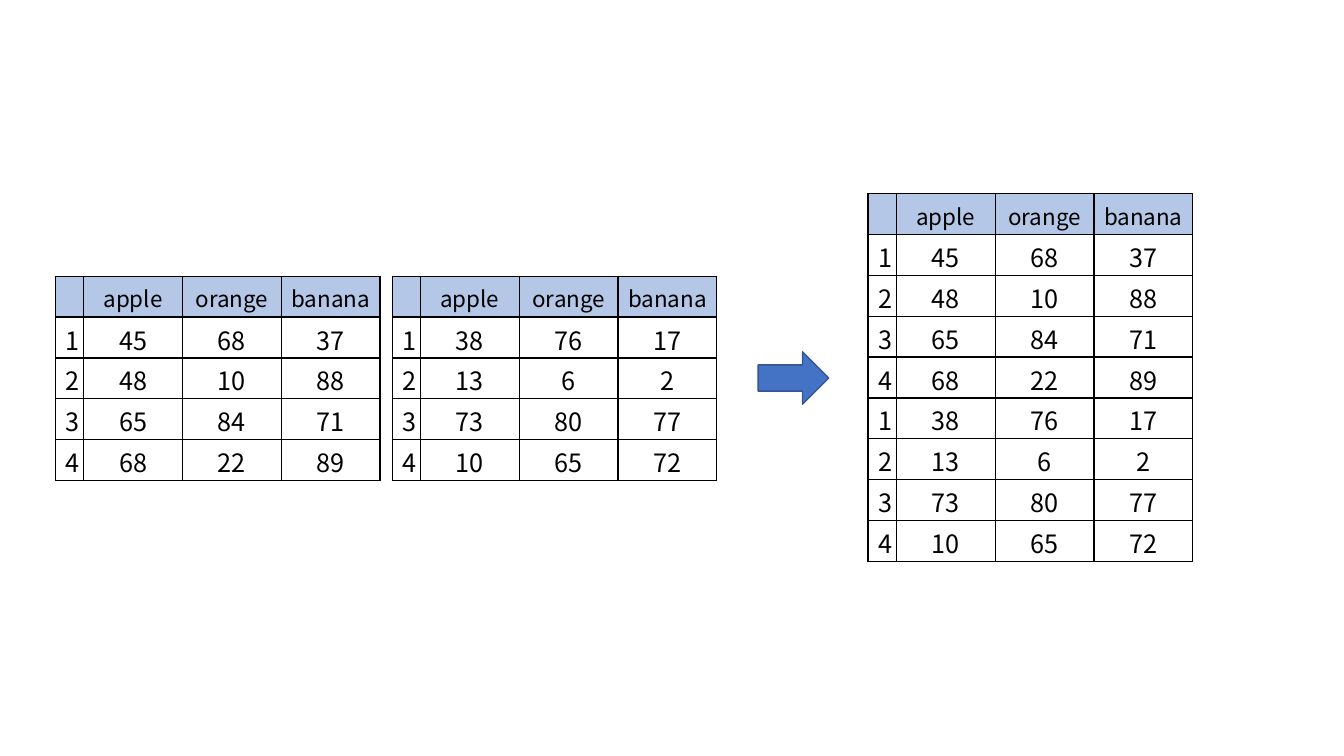
"""Build a slide that shows two fruit tables stacked into one."""
from lxml.etree import SubElement
from pptx import Presentation
from pptx.dml.color import RGBColor
from pptx.enum.shapes import MSO_SHAPE as Shape
from pptx.enum.text import MSO_ANCHOR as Anchor, PP_ALIGN as Align
from pptx.oxml.ns import qn
from pptx.util import Inches, Pt

FONT = "Noto Sans CJK JP"
BLACK, WHITE, HEADER_BLUE = "000000", "FFFFFF", "B4C7E7"
ARROW_FILL, ARROW_LINE = "4472C4", "325491"

HEADER = ("", "apple", "orange", "banana")
FIRST = [(1, 45, 68, 37), (2, 48, 10, 88), (3, 65, 84, 71), (4, 68, 22, 89)]
SECOND = [(1, 38, 76, 17), (2, 13, 6, 2), (3, 73, 80, 77), (4, 10, 65, 72)]
TABLES = [
    (0.55, 2.74, FIRST),
    (3.89, 2.74, SECOND),
    (8.61, 1.92, FIRST + SECOND),
]
COLUMN_WIDTHS = [Inches(0.28)] + [Inches(0.98)] * 3
ROW_HEIGHT = Inches(3.65) // 9


def rgb(value):
    return RGBColor.from_string(value)


def add_borders(cell):
    properties = cell._tc.get_or_add_tcPr()
    for side in ("lnL", "lnR", "lnT", "lnB"):
        border = SubElement(properties, qn(f"a:{side}"), w=str(Pt(1)))
        fill = SubElement(border, qn("a:solidFill"))
        SubElement(fill, qn("a:srgbClr"), val=BLACK)


def style_cell(cell, value, is_header, is_index):
    cell.text = str(value)
    cell.vertical_anchor = Anchor.MIDDLE
    cell.margin_left = Inches(0.06 if is_index else 0)
    cell.margin_right = cell.margin_bottom = 0
    cell.margin_top = Inches(0.03)
    add_borders(cell)
    cell.fill.solid()
    cell.fill.fore_color.rgb = rgb(HEADER_BLUE if is_header else WHITE)
    paragraph = cell.text_frame.paragraphs[0]
    paragraph.alignment = Align.CENTER
    paragraph.font.name = FONT
    paragraph.font.size = Pt(16 if is_header else 18)
    paragraph.font.color.rgb = rgb(BLACK)


def add_fruit_table(slide, left, top, records):
    rows = [HEADER] + records
    table = slide.shapes.add_table(
        len(rows), len(HEADER), Inches(left), Inches(top),
        sum(COLUMN_WIDTHS), ROW_HEIGHT * len(rows)).table
    for column, width in zip(table.columns, COLUMN_WIDTHS):
        column.width = width
    for r, values in enumerate(rows):
        table.rows[r].height = ROW_HEIGHT
        for c, value in enumerate(values):
            style_cell(table.cell(r, c), value, r == 0, c == 0)


def add_arrow(slide):
    arrow = slide.shapes.add_shape(
        Shape.RIGHT_ARROW, Inches(7.52), Inches(3.49), Inches(0.7), Inches(0.52))
    arrow.shadow.inherit = False
    arrow.fill.solid()
    arrow.fill.fore_color.rgb = rgb(ARROW_FILL)
    arrow.line.color.rgb = rgb(ARROW_LINE)
    arrow.line.width = Pt(1)


deck = Presentation()
deck.slide_width, deck.slide_height = Inches(13.33), Inches(7.5)
slide = deck.slides.add_slide(deck.slide_layouts[6])
for left, top, records in TABLES:
    add_fruit_table(slide, left, top, records)
add_arrow(slide)
deck.save("out.pptx")
